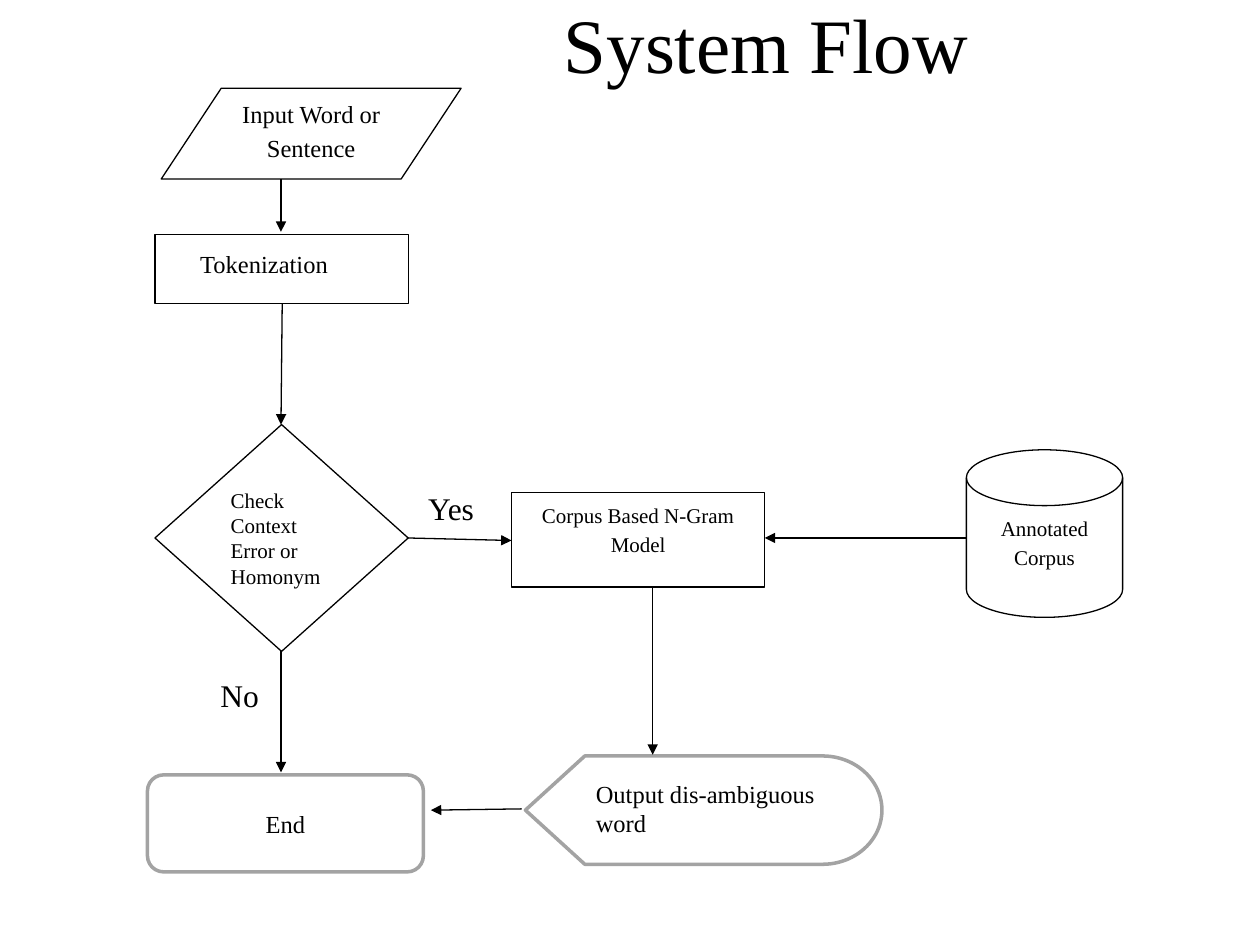
from dataclasses import dataclass

from lxml import etree
from pptx import Presentation
from pptx.dml.color import RGBColor
from pptx.enum.shapes import MSO_CONNECTOR, MSO_SHAPE
from pptx.enum.text import MSO_ANCHOR, MSO_AUTO_SIZE, PP_ALIGN
from pptx.oxml.ns import qn
from pptx.util import Inches, Pt

STRAIGHT = MSO_CONNECTOR.STRAIGHT
DATA = MSO_SHAPE.FLOWCHART_DATA
DECISION = MSO_SHAPE.FLOWCHART_DECISION
RECTANGLE = MSO_SHAPE.RECTANGLE
DISK = MSO_SHAPE.FLOWCHART_MAGNETIC_DISK
ALTERNATE = MSO_SHAPE.FLOWCHART_ALTERNATE_PROCESS
DISPLAY = MSO_SHAPE.FLOWCHART_DISPLAY
TOP, MIDDLE = MSO_ANCHOR.TOP, MSO_ANCHOR.MIDDLE
LEFT, CENTER = PP_ALIGN.LEFT, PP_ALIGN.CENTER
NO_FIT = MSO_AUTO_SIZE.NONE


@dataclass(frozen=True)
class Theme:
    font: str = "Times New Roman"
    ink: RGBColor = RGBColor(0, 0, 0)
    paper: RGBColor = RGBColor(255, 255, 255)
    muted: RGBColor = RGBColor(0xA3, 0xA3, 0xA3)
    title: int = 44
    branch: int = 18
    step: int = 14
    detail: int = 12
    thin: float = 0.75
    thick: float = 2


class FlowSlide:
    def __init__(self, slide, theme):
        self.slide = slide
        self.theme = theme

    def set_words(self, frame, words, size, align=LEFT, anchor=TOP, spaced=False):
        frame.vertical_anchor = anchor
        paragraph = frame.paragraphs[0]
        paragraph.alignment = align
        if spaced:
            paragraph.line_spacing = 1.15
            paragraph.space_after = Pt(10)
        run = paragraph.add_run()
        run.text = words
        run.font.name = self.theme.font
        run.font.size = Pt(size)
        run.font.color.rgb = self.theme.ink

    def title(self, words, box):
        heading = self.slide.shapes.title
        heading.left, heading.top, heading.width, heading.height = map(Inches, box)
        heading.text_frame.auto_size = NO_FIT
        self.set_words(heading.text_frame, words, self.theme.title, CENTER)

    def node(self, kind, box, words="", size=0, terminal=False, **style):
        shape = self.slide.shapes.add_shape(kind, *map(Inches, box))
        shape.shadow.inherit = False
        if terminal:
            shape.fill.background()
        else:
            shape.fill.solid()
            shape.fill.fore_color.rgb = self.theme.paper
        shape.line.color.rgb = self.theme.muted if terminal else self.theme.ink
        shape.line.width = Pt(self.theme.thick if terminal else self.theme.thin)
        if words:
            self.set_words(shape.text_frame, words, size, **style)

    def label(self, words, box, size, wrap=False):
        frame = self.slide.shapes.add_textbox(*map(Inches, box)).text_frame
        frame.word_wrap = wrap
        self.set_words(frame, words, size)

    def arrow(self, start, end):
        connector = self.slide.shapes.add_connector(
            STRAIGHT, *map(Inches, start + end))
        connector.line.color.rgb = self.theme.ink
        connector.line.width = Pt(self.theme.thin)
        properties = connector.element.spPr
        etree.SubElement(properties.find(qn("a:ln")), qn("a:tailEnd"),
                         type="triangle")
        etree.SubElement(properties, qn("a:effectLst"))


presentation = Presentation()
presentation.slide_width = Inches(10)
presentation.slide_height = Inches(7.5)
theme = Theme()
flow = FlowSlide(
    presentation.slides.add_slide(presentation.slide_layouts[5]), theme)

flow.title("System Flow", (3.58, -0.08, 5, 0.84))

centered = {"align": CENTER, "spaced": True}
flow.node(DATA, (1.28, 0.7, 2.38, 0.72), "Input Word or Sentence",
          theme.step, **centered)
flow.node(RECTANGLE, (1.23, 1.86, 2.01, 0.55))
flow.node(DECISION, (1.23, 3.37, 2.01, 1.8),
          "Check Context Error or Homonym", theme.detail)
flow.node(RECTANGLE, (4.06, 3.91, 2.01, 0.75),
          "Corpus Based N-Gram Model", theme.detail, **centered)
flow.node(DISK, (7.67, 3.57, 1.24, 1.33), "Annotated Corpus",
          theme.detail, **centered)
flow.node(ALTERNATE, (1.17, 6.15, 2.19, 0.77), "End", theme.step,
          terminal=True, align=CENTER, anchor=MIDDLE)
flow.node(DISPLAY, (4.17, 6, 2.83, 0.86), terminal=True)

for start, end in (
    ((2.23, 1.42), (2.23, 1.84)),
    ((2.24, 2.41), (2.23, 3.37)),
    ((3.24, 4.27), (4.06, 4.29)),
    ((7.67, 4.27), (6.07, 4.27)),
    ((5.18, 4.66), (5.18, 5.99)),
    ((4.14, 6.42), (3.42, 6.43)),
    ((2.23, 5.17), (2.23, 6.13)),
):
    flow.arrow(start, end)

flow.label("Tokenization", (1.49, 1.93, 1.22, 0.34), theme.step)
flow.label("Output dis-ambiguous word", (4.63, 6.13, 2.25, 0.57),
           theme.step, wrap=True)
flow.label("Yes", (3.3, 3.83, 0.58, 0.4), theme.branch)
flow.label("No", (1.65, 5.32, 0.51, 0.4), theme.branch)

presentation.save("out.pptx")
